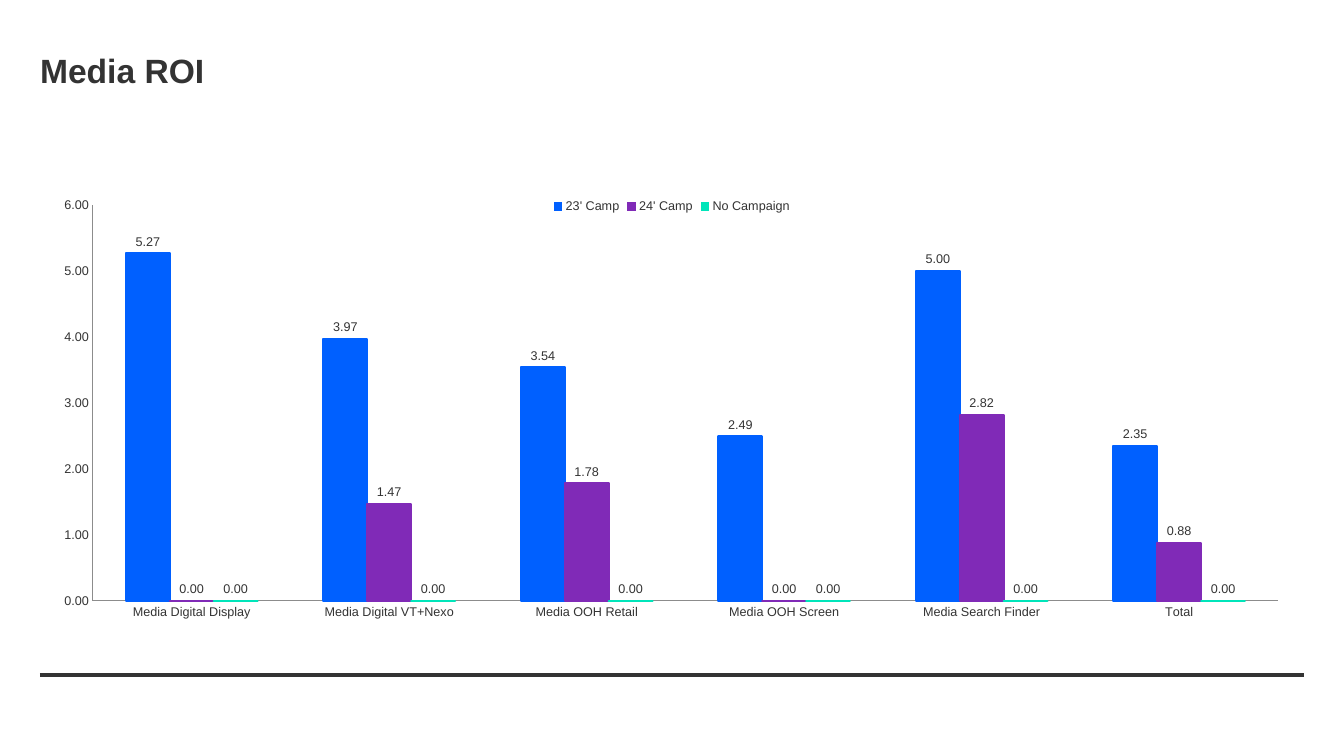
from dataclasses import dataclass

from lxml.etree import SubElement
from pptx import Presentation
from pptx.chart.axis import _BaseAxis as Axis
from pptx.chart.chart import Chart
from pptx.chart.data import CategoryChartData
from pptx.chart.series import BarSeries
from pptx.dml.color import RGBColor
from pptx.enum.chart import XL_CHART_TYPE as ChartType
from pptx.enum.chart import XL_LABEL_POSITION as LabelPosition
from pptx.enum.chart import XL_LEGEND_POSITION as LegendPosition
from pptx.enum.chart import XL_TICK_MARK as TickMark
from pptx.enum.shapes import MSO_CONNECTOR as Connector
from pptx.enum.text import MSO_ANCHOR as Anchor
from pptx.oxml.ns import qn
from pptx.slide import Slide
from pptx.util import Emu, Pt

INK = RGBColor(0x33, 0x33, 0x33)
AXIS_GREY = RGBColor(0x8C, 0x8C, 0x8C)
BLUE = RGBColor(0x00, 0x60, 0xFF)
PURPLE = RGBColor(0x80, 0x2A, 0xB7)
TEAL = RGBColor(0x00, 0xE5, 0xBA)

FONT = "Arial"
ROI_FORMAT = "#,##0.00"
SLIDE_WIDTH, SLIDE_HEIGHT = 1344, 756
MARGIN, CONTENT_WIDTH = 40, 1264
CHART_TOP, CHART_HEIGHT = 188, 440
FOOTER_Y = 675
PLOT_LAYOUT = {"x": 53 / CONTENT_WIDTH, "y": 17 / CHART_HEIGHT,
               "w": 1185 / CONTENT_WIDTH, "h": 396 / CHART_HEIGHT}


@dataclass(frozen=True)
class Campaign:
    """ROI of one campaign across the media channels."""
    name: str
    color: RGBColor
    roi: tuple[float, ...]


CHANNELS = ("Media Digital Display", "Media Digital VT+Nexo", "Media OOH Retail",
            "Media OOH Screen", "Media Search Finder", "Total")
CAMPAIGNS = (
    Campaign("23' Camp", BLUE, (5.27, 3.97, 3.54, 2.49, 5, 2.35)),
    Campaign("24' Camp", PURPLE, (0, 1.47, 1.78, 0, 2.82, 0.88)),
    Campaign("No Campaign", TEAL, (0,) * len(CHANNELS)),
)


def px(length: int) -> Emu:
    """Convert slide pixels to EMU."""
    return Emu(round(length * 12192000 / SLIDE_WIDTH))


def add_title(slide: Slide, wording: str) -> None:
    """Add the slide heading."""
    frame = slide.shapes.add_textbox(px(MARGIN), px(48), px(CONTENT_WIDTH), px(44)).text_frame
    frame.word_wrap = True
    frame.vertical_anchor = Anchor.MIDDLE
    frame.margin_left = frame.margin_right = frame.margin_top = frame.margin_bottom = 0
    heading = frame.paragraphs[0]
    heading.text = wording
    font = heading.font
    font.name, font.size, font.bold = FONT, Pt(24), True
    font.color.rgb = INK


def add_footer_rule(slide: Slide) -> None:
    """Add the heavy line under the chart."""
    rule = slide.shapes.add_connector(Connector.STRAIGHT, px(MARGIN), px(FOOTER_Y),
                                      px(MARGIN + CONTENT_WIDTH), px(FOOTER_Y))
    rule.line.color.rgb = INK
    rule.line.width = Pt(3)
    SubElement(rule._element.spPr, qn("a:effectLst"))


def style_axis(axis: Axis) -> None:
    """Give an axis a thin grey line without ticks or gridlines."""
    axis.major_tick_mark = axis.minor_tick_mark = TickMark.NONE
    axis.has_major_gridlines = False
    axis.format.line.color.rgb = AXIS_GREY
    axis.format.line.width = Pt(0.75)


def style_series(series: BarSeries, color: RGBColor) -> None:
    """Colour the bars of a campaign and label them with their ROI."""
    series.invert_if_negative = False
    series.format.fill.solid()
    series.format.fill.fore_color.rgb = color
    series.format.line.color.rgb = color
    series.format.line.width = Pt(1.5)
    labels = series.data_labels
    labels.show_value = True
    labels.position = LabelPosition.OUTSIDE_END
    labels.number_format = ROI_FORMAT
    labels.number_format_is_linked = False


def place_plot(chart: Chart) -> None:
    """Fix the inner plot area within the chart frame."""
    plot_area = chart._chartSpace.chart.plotArea
    for layout in plot_area.findall(qn("c:layout")):
        plot_area.remove(layout)
    layout = SubElement(plot_area, qn("c:layout"))
    plot_area.insert(0, layout)
    manual = SubElement(layout, qn("c:manualLayout"))
    settings = {"layoutTarget": "inner", "xMode": "edge", "yMode": "edge", **PLOT_LAYOUT}
    for tag, value in settings.items():
        SubElement(manual, qn(f"c:{tag}")).set("val", str(value))


def add_roi_chart(slide: Slide) -> None:
    """Add the clustered columns comparing campaigns by channel."""
    roi_data = CategoryChartData(number_format=ROI_FORMAT)
    roi_data.categories = CHANNELS
    for campaign in CAMPAIGNS:
        roi_data.add_series(campaign.name, campaign.roi)
    chart = slide.shapes.add_chart(ChartType.COLUMN_CLUSTERED, px(MARGIN), px(CHART_TOP),
                                   px(CONTENT_WIDTH), px(CHART_HEIGHT), roi_data).chart
    chart.has_title = False
    chart.font.name, chart.font.size = FONT, Pt(9)
    chart.font.color.rgb = INK
    chart.has_legend = True
    chart.legend.position = LegendPosition.TOP
    chart.legend.include_in_layout = True
    for axis in (chart.category_axis, chart.value_axis):
        style_axis(axis)
    roi_axis = chart.value_axis
    roi_axis.minimum_scale, roi_axis.maximum_scale, roi_axis.major_unit = 0, 6, 1
    roi_axis.tick_labels.number_format = ROI_FORMAT
    roi_axis.tick_labels.number_format_is_linked = False
    columns = chart.plots[0]
    columns.gap_width, columns.overlap, columns.vary_by_categories = 150, 0, False
    for series, campaign in zip(columns.series, CAMPAIGNS):
        style_series(series, campaign.color)
    place_plot(chart)


def main() -> None:
    """Build and save the media ROI slide."""
    deck = Presentation()
    deck.slide_width, deck.slide_height = px(SLIDE_WIDTH), px(SLIDE_HEIGHT)
    slide = deck.slides.add_slide(deck.slide_layouts[6])
    add_footer_rule(slide)
    add_title(slide, "Media ROI")
    add_roi_chart(slide)
    deck.save("out.pptx")


if __name__ == "__main__":
    main()
